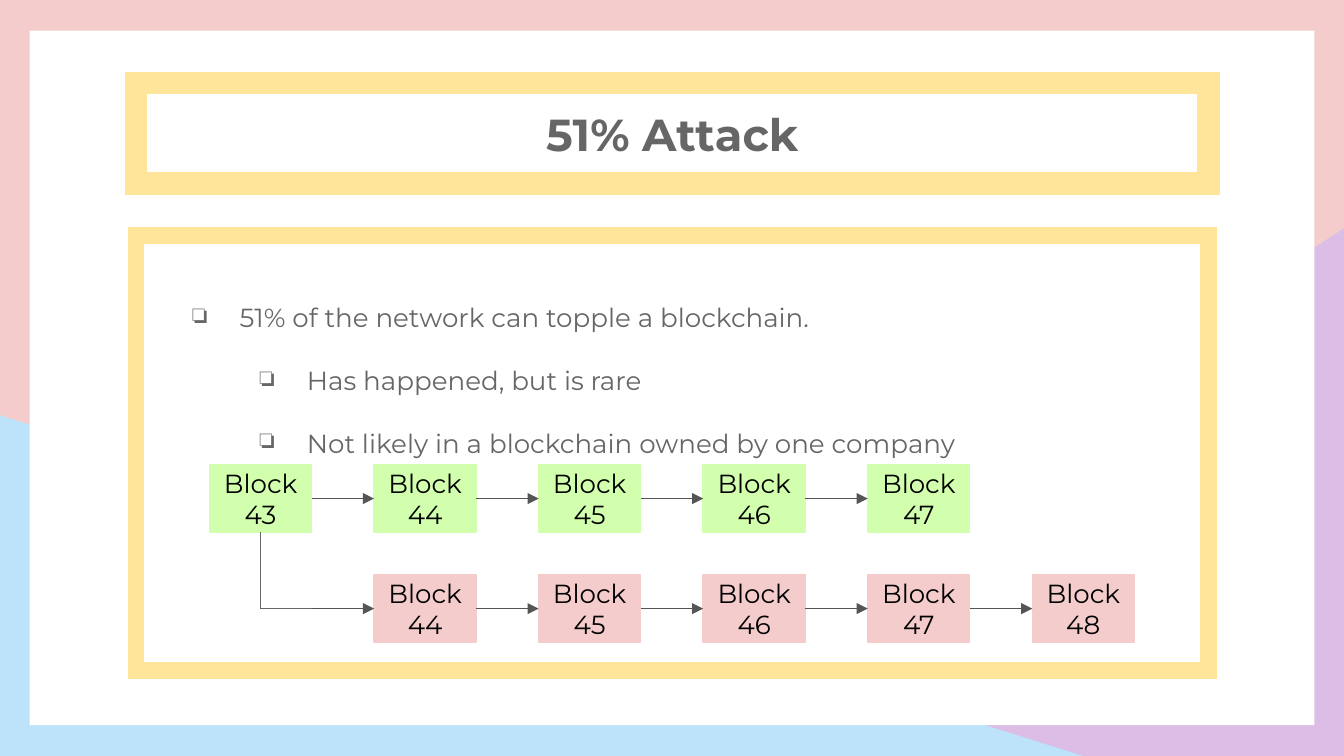
from dataclasses import dataclass

from lxml import etree
from pptx import Presentation
from pptx.dml.color import RGBColor
from pptx.enum import shapes, text
from pptx.oxml import ns
from pptx.util import Cm, Pt


@dataclass(frozen=True)
class Theme:
    font: str = "Montserrat"
    head: int = 24
    body: int = 14
    pink: str = "F4CCCC"
    lilac: str = "DBBDE5"
    sky: str = "BCE3F9"
    white: str = "FFFFFF"
    gold: str = "FFE599"
    green: str = "D1FFAD"
    gray: str = "666666"
    dark: str = "565555"
    black: str = "000000"


def sub(node, tag, **attrs):
    return etree.SubElement(node, ns.qn(tag), attrs)


class Deck:
    def __init__(self, theme):
        self.theme = theme
        self.file = Presentation()
        self.file.slide_width, self.file.slide_height = Cm(25.4), Cm(14.29)
        self.slide = self.file.slides.add_slide(self.file.slide_layouts[5])
        self.paint(self.slide.background, theme.pink)

    def paint(self, item, color):
        item.fill.solid()
        item.fill.fore_color.rgb = RGBColor.from_string(color)

    def edge(self, item, color, width):
        item.line.color.rgb = RGBColor.from_string(color)
        item.line.width = Pt(width)

    def frame(self, item, color, width):
        """Give an item a solid outline with square corners."""
        self.edge(item, color, width)
        sub(item.line._get_or_add_ln(), "a:miter", lim="800000")

    def shape(self, kind, box, color, flip=False):
        item = self.slide.shapes.add_shape(kind, *map(Cm, box))
        item.shadow.inherit = False
        self.paint(item, color)
        item.line.fill.background()
        if flip:
            item.element.spPr.find(ns.qn("a:xfrm")).set("flipH", "1")
        return item

    def rect(self, box, color):
        return self.shape(shapes.MSO_SHAPE.RECTANGLE, box, color)

    def run(self, para, words, size, color, bold=False):
        font = para.add_run()
        font.text = words
        font = font.font
        font.name, font.size, font.bold = self.theme.font, Pt(size), bold
        font.color.rgb = RGBColor.from_string(color)

    def inset(self, item, left, top, right, bottom, anchor):
        body = item.text_frame
        body.auto_size = text.MSO_AUTO_SIZE.NONE
        body.word_wrap = True
        body.vertical_anchor = anchor
        body.margin_left, body.margin_top = Cm(left), Cm(top)
        body.margin_right, body.margin_bottom = Cm(right), Cm(bottom)
        return body

    def label(self, item, words, size, color, bold=False):
        body = self.inset(item, 0.25, 0.25, 0.25, 0.25, text.MSO_ANCHOR.MIDDLE)
        para = body.paragraphs[0]
        para.alignment = text.PP_ALIGN.CENTER
        self.run(para, words, size, color, bold)

    def title(self, words, box):
        item = self.slide.shapes.title
        item.left, item.top, item.width, item.height = map(Cm, box)
        # Lift the title above the backdrop
        self.slide.shapes.element.append(item.element)
        self.paint(item, self.theme.white)
        self.frame(item, self.theme.gold, 12)
        self.label(item, words, self.theme.head, self.theme.gray, True)

    def panel(self, box, points):
        item = self.rect(box, self.theme.white)
        self.frame(item, self.theme.gold, 9)
        body = self.inset(item, 0.69, 0.66, 0, 0, text.MSO_ANCHOR.TOP)
        for num, (level, words) in enumerate(points):
            para = body.add_paragraph() if num else body.paragraphs[0]
            para.alignment = text.PP_ALIGN.LEFT
            para.level = level
            para.line_spacing = 2.0
            props = para._p.get_or_add_pPr()
            props.set("marL", str(Cm(1.27 * (level + 1))))
            props.set("indent", str(Cm(-0.89)))
            sub(sub(props, "a:buClr"), "a:srgbClr", val=self.theme.gray)
            sub(props, "a:buChar", char="❏")
            self.run(para, words, self.theme.body, self.theme.gray)

    def block(self, num, box, color):
        item = self.rect(box, color)
        self.edge(item, color, 0.75)
        self.label(item, f"Block {num}", self.theme.body, self.theme.black)

    def line(self, start, end, color, arrow=False):
        item = self.slide.shapes.add_connector(
            shapes.MSO_CONNECTOR.STRAIGHT, *map(Cm, start + end))
        self.edge(item, color, 0.75)
        if arrow:
            sub(item.line._get_or_add_ln(), "a:tailEnd", type="triangle")
        sub(item.element.spPr, "a:effectLst")


def main():
    theme = Theme()
    deck = Deck(theme)

    # Backdrop
    wedge = shapes.MSO_SHAPE.RIGHT_TRIANGLE
    deck.shape(wedge, (9.96, 4.32, 15.44, 9.97), theme.lilac, flip=True)
    deck.shape(wedge, (0, 7.85, 20.47, 6.44), theme.sky)
    deck.rect((0.56, 0.58, 24.28, 13.13), theme.white)

    # Title and points
    deck.title("51% Attack", (2.57, 1.57, 20.27, 1.9))
    deck.panel((2.57, 4.45, 20.27, 8.23), [
        (0, "51% of the network can topple a blockchain."),
        (1, "Has happened, but is rare"),
        (1, "Not likely in a blockchain owned by one company"),
    ])

    # Block chains: honest row, then attack row
    left, step, wide, high = 3.96, 3.11, 1.93, 1.27
    first = 43
    top, low = 8.79, 10.87
    for row, nums, color in ((top, range(43, 48), theme.green),
                             (low, range(44, 49), theme.pink)):
        mid = row + high / 2
        for num in nums:
            x = left + (num - first) * step
            deck.block(num, (x, row, wide, high), color)
            if num > first:
                deck.line((x - step + wide, mid), (x, mid), theme.dark, True)

    # Fork from the first block
    fork, mid = left + wide / 2, low + high / 2
    deck.line((left + wide, mid), (fork, mid), theme.gray)
    deck.line((fork, mid), (fork, top + high), theme.gray)

    deck.file.save("out.pptx")


if __name__ == "__main__":
    main()
